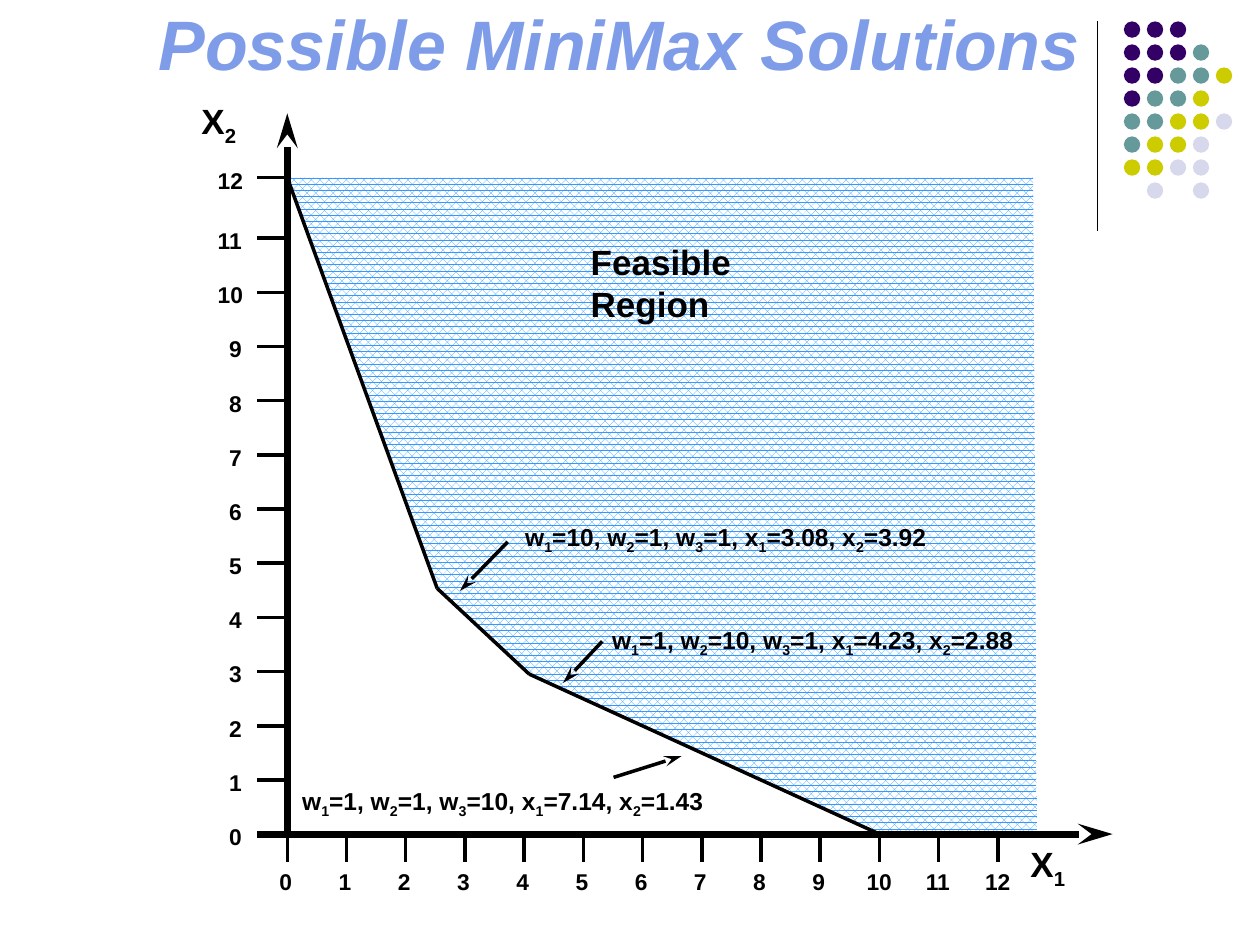
"""Build the slide that plots the feasible region and its minimax solutions."""
import dataclasses

import lxml.etree
import pptx
import pptx.dml.color
import pptx.enum.dml
import pptx.enum.shapes
import pptx.enum.text
import pptx.oxml.ns
import pptx.util

Inches = pptx.util.Inches
Color = pptx.dml.color.RGBColor
Point = tuple[float, float]

BLACK = Color(0x00, 0x00, 0x00)
WHITE = Color(0xFF, 0xFF, 0xFF)
TITLE = Color(0x7E, 0x9C, 0xE8)
BLUE = Color(0x33, 0x99, 0xFF)
PURPLE = Color(0x33, 0x00, 0x66)
TEAL = Color(0x66, 0x99, 0x99)
LIME = Color(0xCC, 0xCC, 0x00)
PALE = Color(0xD8, 0xD8, 0xEC)

DOTS = {"P": PURPLE, "T": TEAL, "L": LIME, "G": PALE}
ROWS = ("PPP", "PPPT", "PPTTL", "PTTL", "TTLLG", "TLLG", "LLGG", " G G")
PITCH = 0.73 / 4
LEFT, BASE = 2.28, 6.62
STEP_X, STEP_Y = 0.47, 0.43
COUNT = 12
EDGE = ((2.28, 1.41), (3.47, 4.67), (4.2, 5.35), (6.98, 6.62))
CORNERS = ((8.23, 6.62), (8.2, 1.41))


@dataclasses.dataclass(frozen=True)
class Note:
    """Hold one solution label and the arrow beside it."""
    text: str
    left: float
    top: float
    tail: Point
    tip: Point


NOTES = (
    Note("w_1=10, w_2=1, w_3=1, x_1=3.08, x_2=3.92", 4.07, 4.09, (4.03, 4.3), (3.65, 4.69)),
    Note("w_1=1, w_2=10, w_3=1, x_1=4.23, x_2=2.88", 4.76, 4.91, (4.78, 5.09), (4.47, 5.42)),
    Note("w_1=1, w_2=1, w_3=10, x_1=7.14, x_2=1.43", 2.3, 6.19, (4.87, 6.17), (5.41, 6)),
)


def add_text(shapes, text: str, left: float, top: float, width: float, height: float, *,
             size: float, color: Color = BLACK, italic: bool = False, wrap: bool = False,
             low: bool = False, space: float = 1.0) -> None:
    """Add bold text in which an underscore lowers the next character."""
    box = shapes.add_textbox(Inches(left), Inches(top), Inches(width), Inches(height))
    frame = box.text_frame
    frame.word_wrap = wrap
    if not wrap:
        frame.auto_size = pptx.enum.text.MSO_AUTO_SIZE.SHAPE_TO_FIT_TEXT
    if low:
        frame.vertical_anchor = pptx.enum.text.MSO_ANCHOR.BOTTOM
    line = frame.paragraphs[0]
    line.line_spacing = space
    first, *rest = text.split("_")
    parts = [(first, False)]
    for piece in rest:
        parts += [(piece[0], True), (piece[1:], False)]
    for part, sub in parts:
        if not part:
            continue
        run = line.add_run()
        run.text = part
        font = run.font
        font.name, font.size = "Arial", pptx.util.Pt(size)
        font.bold, font.italic = True, italic
        font.color.rgb = color
        if sub:
            font._element.set("baseline", "-25000")


def add_line(shapes, start: Point, end: Point, *, width: float = 2, arrow: bool = False) -> None:
    """Add a straight black line, with an arrowhead at its end if asked."""
    line = shapes.add_connector(pptx.enum.shapes.MSO_CONNECTOR.STRAIGHT,
                                *(Inches(value) for value in (*start, *end)))
    line.line.width = pptx.util.Pt(width)
    line.line.color.rgb = BLACK
    qn = pptx.oxml.ns.qn
    if arrow:
        lxml.etree.SubElement(line.line._get_or_add_ln(), qn("a:tailEnd"),
                              type="stealth", len="lg")
    lxml.etree.SubElement(line._element.spPr, qn("a:effectLst"))


def add_dots(shapes) -> None:
    """Draw the grid of coloured dots and the rule beside it."""
    add_line(shapes, (8.71, 0.17), (8.71, 1.83), width=0.75)
    for row, keys in enumerate(ROWS):
        for col, key in enumerate(keys):
            if key == " ":
                continue
            dot = shapes.add_shape(pptx.enum.shapes.MSO_SHAPE.OVAL,
                                   Inches(8.92 + col * PITCH), Inches(0.17 + row * PITCH),
                                   Inches(0.13), Inches(0.13))
            dot.shadow.inherit = False
            dot.fill.solid()
            dot.fill.fore_color.rgb = DOTS[key]
            dot.line.fill.background()


def add_region(shapes) -> None:
    """Draw the patterned feasible region."""
    start, *rest = [(Inches(x), Inches(y)) for x, y in EDGE + CORNERS]
    pen = shapes.build_freeform(*start)
    pen.add_line_segments(rest, close=True)
    region = pen.convert_to_shape()
    region.shadow.inherit = False
    region.fill.patterned()
    region.fill.pattern = pptx.enum.dml.MSO_PATTERN.PERCENT_70
    region.fill.fore_color.rgb = BLUE
    region.fill.back_color.rgb = WHITE
    region.line.fill.background()


def add_axes(shapes) -> None:
    """Draw both axes with their ticks, numbers and names."""
    add_line(shapes, (LEFT, BASE), (LEFT, 0.9), width=4, arrow=True)
    add_line(shapes, (2.04, BASE), (8.83, BASE), width=4, arrow=True)
    for num in range(COUNT + 1):
        across = LEFT + num * STEP_X
        lift = BASE - num * STEP_Y - (0.05 if num == COUNT else 0)
        wide = num > 9
        size = 0.4 if wide else 0.3
        add_line(shapes, (across, BASE), (across, 6.84))
        if num:
            add_line(shapes, (2.04, lift), (LEFT, lift))
        add_text(shapes, str(num), across - (0.2 if wide else 0.16), 6.84, size, 0.32, size=13)
        add_text(shapes, str(num), 1.63 if wide else 1.72, lift - 0.14, size, 0.32, size=13)
    add_text(shapes, "X_1", 8.08, 6.64, 0.49, 0.43, size=20)
    add_text(shapes, "X_2", 1.5, 0.74, 0.49, 0.43, size=20)


def main() -> None:
    """Assemble and save the slide."""
    deck = pptx.Presentation()
    deck.slide_width, deck.slide_height = Inches(10), Inches(7.5)
    shapes = deck.slides.add_slide(deck.slide_layouts[6]).shapes
    add_dots(shapes)
    add_text(shapes, "Possible MiniMax Solutions", 1.16, 0.25, 7.92, 0.45, size=40,
             color=TITLE, italic=True, wrap=True, low=True, space=0.7)
    add_region(shapes)
    add_axes(shapes)
    for start, end in zip(EDGE, EDGE[1:]):
        add_line(shapes, start, end)
    add_text(shapes, "Feasible Region", 4.59, 1.86, 1.6, 0.76, size=20, wrap=True)
    for note in NOTES:
        add_line(shapes, note.tail, note.tip, arrow=True)
        add_text(shapes, note.text, note.left, note.top, 3.4, 0.33, size=14)
    deck.save("out.pptx")


if __name__ == "__main__":
    main()
